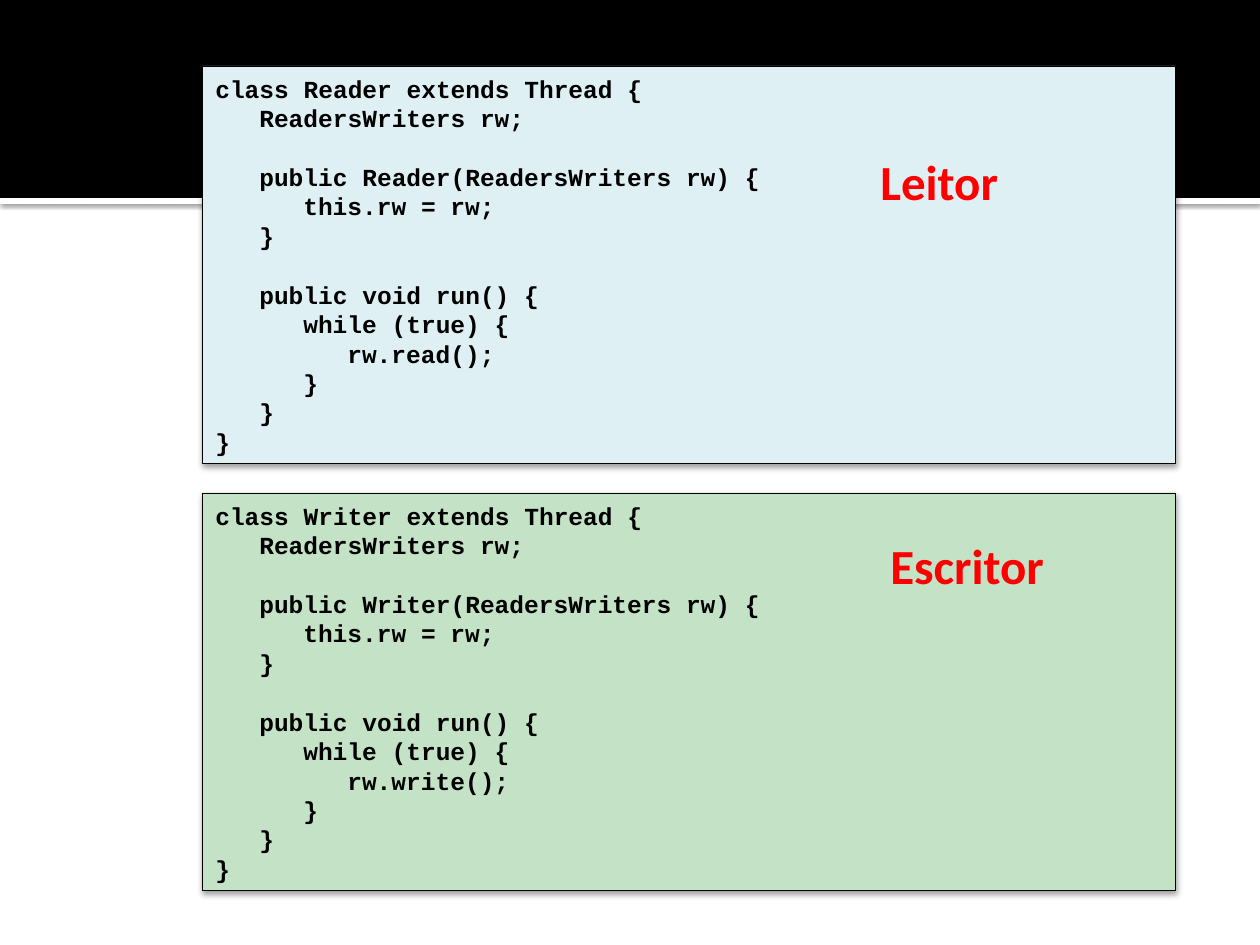
"""Build a slide with the reader and writer thread classes of the readers-writers problem."""
import lxml.etree
import pptx
import pptx.dml.color
import pptx.enum.shapes
import pptx.enum.text
import pptx.oxml.ns
import pptx.util

RGB = pptx.dml.color.RGBColor
BLACK = RGB(0x00, 0x00, 0x00)
WHITE = RGB(0xFF, 0xFF, 0xFF)
RED = RGB(0xFF, 0x00, 0x00)
PALE_BLUE = RGB(0xDF, 0xF0, 0xF5)
PALE_GREEN = RGB(0xC4, 0xE2, 0xC5)

EMU_PER_PX = 914400 / 126
PAGE_WIDTH, PAGE_HEIGHT = 1260, 945
HEADER_HEIGHT, STRIPE_HEIGHT = 198, 6
PANEL_LEFT, PANEL_TOP, PANEL_WIDTH, PANEL_HEIGHT = 203, 66, 973, 398
PANEL_STEP = 427
INDENT = 44
LINE_PITCH = pptx.util.Pt(16.8)

CODE_FONT = {"name": "Courier New", "size": pptx.util.Pt(14), "bold": True}
LABEL_FONT = {"name": "Calibri", "size": pptx.util.Pt(28), "bold": True}
STRIPE_SHADOW = {"alpha": 60, "blur": 2.5, "distance": 0.8}
PANEL_SHADOW = {"alpha": 38, "blur": 3.5, "distance": 2}

CODE_BLOCKS = [
    [(0, "class {name} extends Thread {{"),
     (1, "ReadersWriters rw;")],
    [(1, "public {name}(ReadersWriters rw) {{"),
     (2, "this.rw = rw;"),
     (1, "}}")],
    [(1, "public void run() {{"),
     (2, "while (true) {{"),
     (3, "rw.{action}();"),
     (2, "}}"),
     (1, "}}"),
     (0, "}}")],
]
PANELS = [
    {"name": "Reader", "action": "read", "fill": PALE_BLUE,
     "label": "Leitor", "label_place": (868, 145, 169, 72)},
    {"name": "Writer", "action": "write", "fill": PALE_GREEN,
     "label": "Escritor", "label_place": (878, 529, 228, 72)},
]


def px(length):
    return pptx.util.Emu(round(length * EMU_PER_PX))


def add_shadow(shape, alpha, blur, distance):
    qn = pptx.oxml.ns.qn
    effects = shape._element.spPr.find(qn("a:effectLst"))
    shadow = lxml.etree.SubElement(
        effects, qn("a:outerShdw"), blurRad=str(pptx.util.Pt(blur)),
        dist=str(pptx.util.Pt(distance)), dir="5400000", algn="t", rotWithShape="0")
    color = lxml.etree.SubElement(shadow, qn("a:srgbClr"), val=str(BLACK))
    lxml.etree.SubElement(color, qn("a:alpha"), val=str(alpha * 1000))


def add_box(page, place, fill, line=None, shadow=None):
    box = page.shapes.add_shape(
        pptx.enum.shapes.MSO_SHAPE.RECTANGLE, *map(px, place))
    box.shadow.inherit = False
    box.fill.solid()
    box.fill.fore_color.rgb = fill
    if line is None:
        box.line.fill.background()
    else:
        box.line.color.rgb = line
        box.line.width = pptx.util.Pt(0.5)
    if shadow:
        add_shadow(box, **shadow)
    return box


def add_span(para, text, font, color):
    span = para.add_run()
    span.text = text
    for key, value in font.items():
        setattr(span.font, key, value)
    span.font.color.rgb = color


def write_code(box, panel):
    frame = box.text_frame
    frame.word_wrap = True
    frame.vertical_anchor = pptx.enum.text.MSO_ANCHOR.MIDDLE
    para = frame.paragraphs[0]
    for block_index, block in enumerate(CODE_BLOCKS):
        for line_index, (depth, text) in enumerate(block):
            if block_index or line_index:
                para = frame.add_paragraph()
            para.alignment = pptx.enum.text.PP_ALIGN.LEFT
            para.line_spacing = LINE_PITCH
            if block_index and line_index == 0:
                para.space_before = LINE_PITCH
            properties = para._p.get_or_add_pPr()
            properties.set("marL", str(px(depth * INDENT)))
            properties.set("indent", "0")
            line = text.format(name=panel["name"], action=panel["action"])
            add_span(para, line, CODE_FONT, BLACK)


def add_label(page, text, place):
    box = page.shapes.add_textbox(*map(px, place))
    box.text_frame.word_wrap = True
    add_span(box.text_frame.paragraphs[0], text, LABEL_FONT, RED)


def main():
    deck = pptx.Presentation()
    deck.slide_width, deck.slide_height = px(PAGE_WIDTH), px(PAGE_HEIGHT)
    page = deck.slides.add_slide(deck.slide_layouts[6])
    add_box(page, (0, HEADER_HEIGHT, PAGE_WIDTH, STRIPE_HEIGHT), WHITE,
            shadow=STRIPE_SHADOW)
    add_box(page, (0, 0, PAGE_WIDTH, HEADER_HEIGHT), BLACK)
    for index, panel in enumerate(PANELS):
        place = (PANEL_LEFT, PANEL_TOP + index * PANEL_STEP, PANEL_WIDTH, PANEL_HEIGHT)
        box = add_box(page, place, panel["fill"], BLACK, PANEL_SHADOW)
        write_code(box, panel)
    for panel in PANELS:
        add_label(page, panel["label"], panel["label_place"])
    deck.save("out.pptx")


if __name__ == "__main__":
    main()
